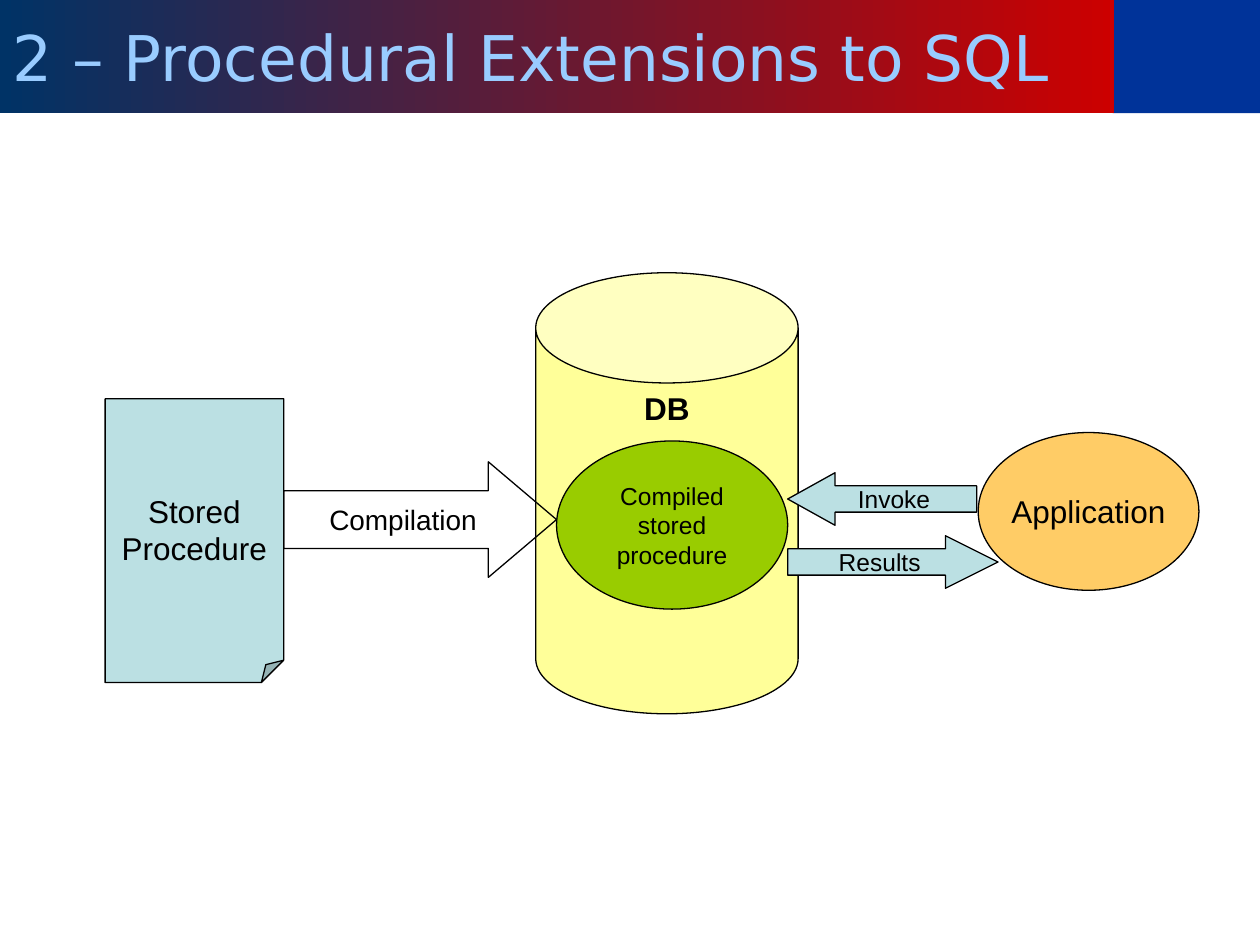
from lxml.etree import SubElement
from pptx import Presentation
from pptx.dml.color import RGBColor
from pptx.enum.shapes import MSO_SHAPE
from pptx.enum.text import MSO_ANCHOR, PP_ALIGN
from pptx.oxml.ns import qn
from pptx.util import Cm, Pt


def color(hex_string):
    return RGBColor.from_string(hex_string)


def add_box(kind, place, text="", size=18, fill=None, adjustments=None, wrap=False):
    """Add an outlined shape with centred Arial text; place is in cm."""
    shape = slide.shapes.add_shape(kind, *[Cm(length) for length in place])
    shape.shadow.inherit = False
    if adjustments:
        # Written as XML because not every preset exposes its adjustments
        guides = shape.element.spPr.find(qn("a:prstGeom")).find(qn("a:avLst"))
        for guide in list(guides):
            guides.remove(guide)
        for name, value in adjustments.items():
            SubElement(guides, qn("a:gd"), name=name, fmla=f"val {round(value * 100000)}")
    if fill:
        shape.fill.solid()
        shape.fill.fore_color.rgb = color(fill)
    else:
        shape.fill.background()
    shape.line.color.rgb = color("000000")
    shape.line.width = Pt(0.75)
    text_frame = shape.text_frame
    text_frame.text = text
    text_frame.word_wrap = wrap
    text_frame.vertical_anchor = MSO_ANCHOR.MIDDLE
    paragraph = text_frame.paragraphs[0]
    paragraph.alignment = PP_ALIGN.CENTER
    for run in paragraph.runs:
        run.font.name = "Arial"
        run.font.size = Pt(size)
        run.font.color.rgb = color("000000")
    return shape


presentation = Presentation()
presentation.slide_width = Cm(25.4)
presentation.slide_height = Cm(19.05)
slide = presentation.slides.add_slide(presentation.slide_layouts[6])

# Header: blue block on the right, gradient title bar on the left
corner = add_box(MSO_SHAPE.RECTANGLE, (22.43, 0, 2.97, 2.28), fill="003399")
corner.line.fill.background()

title = add_box(MSO_SHAPE.RECTANGLE, (0, 0, 22.45, 2.28),
                "2 – Procedural Extensions to SQL", 36, wrap=True)
title.line.fill.background()
title.fill.gradient()
title.fill.gradient_angle = 0
for stop, position, shade in zip(title.fill.gradient_stops, (0, 1), ("003366", "CC0000")):
    stop.position = position
    stop.color.rgb = color(shade)
title_paragraph = title.text_frame.paragraphs[0]
title_paragraph.alignment = PP_ALIGN.LEFT
title_paragraph.runs[0].font.name = "DejaVu Sans"
title_paragraph.runs[0].font.color.rgb = color("99CCFF")

# Database with the compiled procedure inside
database = add_box(MSO_SHAPE.CAN, (10.8, 5.5, 5.29, 8.89), "DB", 18, "FFFF99", {"adj": 0.42})
database.text_frame.vertical_anchor = MSO_ANCHOR.TOP
database.text_frame.paragraphs[0].runs[0].font.bold = True
add_box(MSO_SHAPE.OVAL, (11.22, 8.89, 4.66, 3.39),
        "Compiled stored procedure", 14, "99CC00", wrap=True)

# Source procedure, compiled into the database
add_box(MSO_SHAPE.RIGHT_ARROW, (5.72, 9.31, 5.5, 2.33),
        "Compilation", 16, adjustments={"adj1": 0.5, "adj2": 0.59})
add_box(MSO_SHAPE.FOLDED_CORNER, (2.12, 8.04, 3.6, 5.72),
        "Stored Procedure", 18, "BBE0E3", {"adj": 0.125}, wrap=True)

# Application and its exchange with the database
add_box(MSO_SHAPE.OVAL, (19.72, 8.72, 4.45, 3.18), "Application", 18, "FFCC66")
add_box(MSO_SHAPE.RIGHT_ARROW, (15.88, 10.8, 4.24, 1.06),
        "Results", 14, "BBE0E3", {"adj1": 0.5, "adj2": 1})
add_box(MSO_SHAPE.LEFT_ARROW, (15.88, 9.53, 3.81, 1.06),
        "Invoke", 14, "BBE0E3", {"adj1": 0.5, "adj2": 0.9})

presentation.save("out.pptx")
